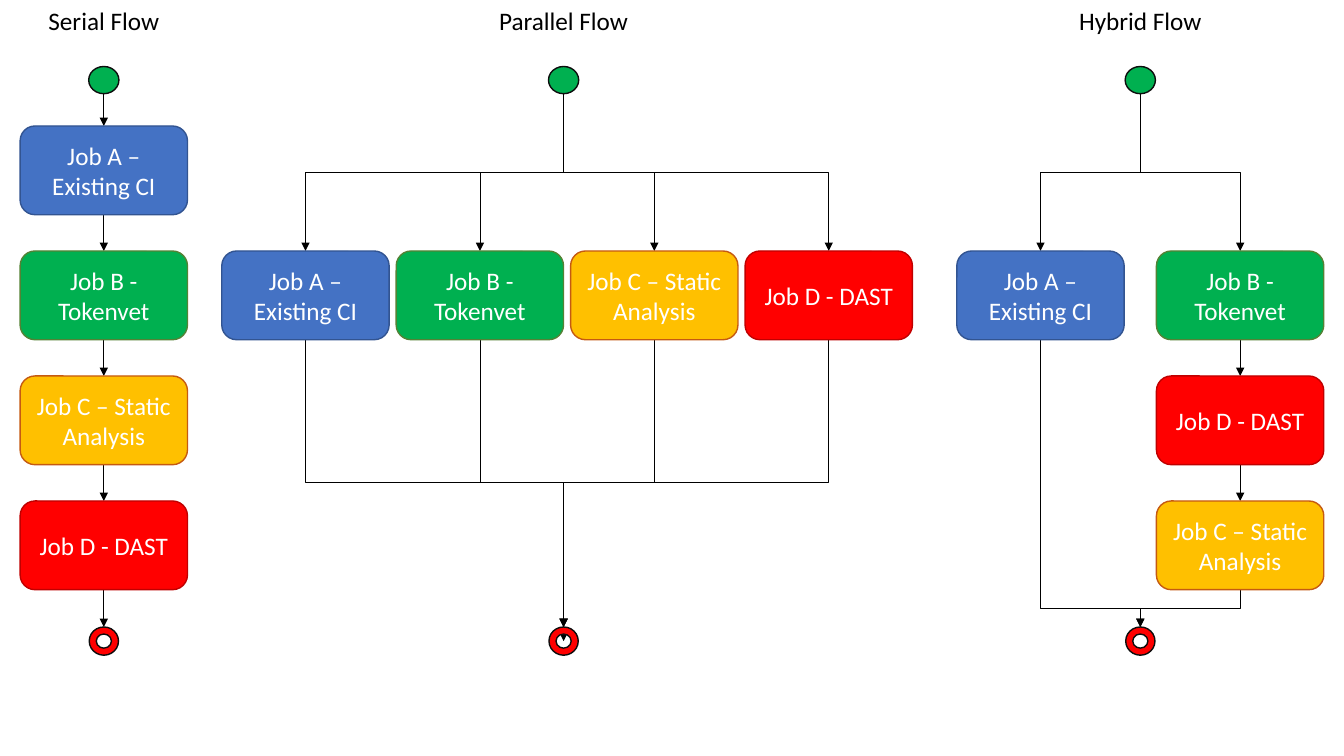
from pptx import Presentation
from pptx.dml.color import RGBColor
from pptx.enum.shapes import MSO_CONNECTOR as Link, MSO_SHAPE as Preset
from pptx.enum.text import MSO_ANCHOR as Anchor, PP_ALIGN as Align
from pptx.oxml.ns import qn
from pptx.util import Inches, Pt
from lxml.etree import SubElement

# Content: each job is (label, fill, outline)
JOBS = {
    "A": ("Job A – Existing CI", "4472C4", "325491"),
    "B": ("Job B - Tokenvet", "00B050", "548235"),
    "C": ("Job C – Static Analysis", "FFC000", "C55A11"),
    "D": ("Job D - DAST", "FF0000", "C00000"),
}
# Each flow runs its chains of jobs side by side between one start and one end.
# "late" names the chain whose arrow reaches the centre of the end marker.
FLOWS = [
    {"title": "Serial Flow", "hub": 1.03, "first": 1.03, "step": 0,
     "row": 0, "chains": ["ABCD"], "join": 6.04, "late": None},
    {"title": "Parallel Flow", "hub": 5.59, "first": 3.03, "step": 1.73,
     "row": 1, "chains": ["A", "B", "C", "D"], "join": 4.79, "late": "C"},
    {"title": "Hybrid Flow", "hub": 11.31, "first": 10.32, "step": 1.98,
     "row": 1, "chains": ["A", "BDC"], "join": 6.04, "late": None},
]
THEME = {"font": "Calibri", "size": 18, "ink": "000000", "light": "FFFFFF",
         "start": "00B050", "end": "FF0000", "rim": "0D0D0D",
         "outline": 1, "arrow": 0.5}

# Grid, in inches
SLIDE_W, SLIDE_H = 13.33, 7.5
BOX_W, BOX_H = 1.66, 0.88
ROW_TOP, ROW_STEP = 1.25, 1.24
TITLE_W, TITLE_H = 2.03, 0.4
START_TOP, START_W, START_H = 0.66, 0.3, 0.27
END_TOP, END_W, END_H = 6.22, 0.29, 0.28


def write(shape, text, color):
    """Put one centred line of text in a shape and format it."""
    frame = shape.text_frame
    frame.text = text
    frame.word_wrap = True
    para = frame.paragraphs[0]
    para.alignment = Align.CENTER
    font = para.runs[0].font
    font.name, font.size = THEME["font"], Pt(THEME["size"])
    font.color.rgb = RGBColor.from_string(color)


def add_node(page, preset, center, top, width, height, fill, outline):
    """Add a filled, outlined shape centred on a column."""
    node = page.shapes.add_shape(preset, Inches(center - width / 2), Inches(top),
                                 Inches(width), Inches(height))
    node.shadow.inherit = False
    node.fill.solid()
    node.fill.fore_color.rgb = RGBColor.from_string(fill)
    node.line.color.rgb = RGBColor.from_string(outline)
    node.line.width = Pt(THEME["outline"])
    return node


def add_job(page, key, center, top):
    """Add the rounded box of a job."""
    label, fill, outline = JOBS[key]
    box = add_node(page, Preset.ROUNDED_RECTANGLE, center, top, BOX_W, BOX_H,
                   fill, outline)
    box.text_frame.vertical_anchor = Anchor.MIDDLE
    write(box, label, THEME["light"])


def add_arrow(page, x1, y1, x2, y2, bend=None):
    """Add a downward arrow, elbowed at height bend when the columns differ."""
    if x1 == x2:
        arrow = page.shapes.add_connector(
            Link.STRAIGHT, Inches(x1), Inches(y1), Inches(x2), Inches(y2))
    else:
        # A vertical elbow is a horizontal one turned about its centre
        length, across = y2 - y1, abs(x2 - x1)
        left, top = (x1 + x2 - length) / 2, (y1 + y2 - across) / 2
        arrow = page.shapes.add_connector(
            Link.ELBOW, Inches(left), Inches(top),
            Inches(left + length), Inches(top + across))
        frame = arrow.element.spPr.find(qn("a:xfrm"))
        frame.set("rot", "5400000" if x2 < x1 else "16200000")
        if x2 > x1:
            frame.set("flipH", "1")
        guides = arrow.element.spPr.find(qn("a:prstGeom")).find(qn("a:avLst"))
        share = round((bend - y1) / length * 100000)
        SubElement(guides, qn("a:gd"), name="adj1", fmla=f"val {share}")
    arrow.line.color.rgb = RGBColor.from_string(THEME["ink"])
    arrow.line.width = Pt(THEME["arrow"])
    outline = arrow.element.spPr.find(qn("a:ln"))
    SubElement(outline, qn("a:tailEnd"), type="triangle")
    SubElement(arrow.element.spPr, qn("a:effectLst"))


def add_chain(page, flow, chain, center):
    """Add a column of jobs and the arrows that tie it to the flow's ends."""
    hub = flow["hub"]
    tops = [ROW_TOP + ROW_STEP * (flow["row"] + i) for i in range(len(chain))]
    start = START_TOP + START_H
    finish = END_TOP + (END_H / 2 if chain == flow["late"] else 0)
    add_arrow(page, hub, start, center, tops[0], (start + tops[0]) / 2)
    for upper, lower in zip(tops, tops[1:]):
        add_arrow(page, center, upper + BOX_H, center, lower)
    add_arrow(page, center, tops[-1] + BOX_H, hub, finish, flow["join"])
    for key, top in zip(chain, tops):
        add_job(page, key, center, top)


def add_flow(page, flow):
    """Add one titled flow with its start, chains and end."""
    hub = flow["hub"]
    title = page.shapes.add_textbox(Inches(hub - TITLE_W / 2), 0,
                                    Inches(TITLE_W), Inches(TITLE_H))
    write(title, flow["title"], THEME["ink"])
    for column, chain in enumerate(flow["chains"]):
        add_chain(page, flow, chain, flow["first"] + column * flow["step"])
    add_node(page, Preset.OVAL, hub, START_TOP, START_W, START_H,
             THEME["start"], THEME["rim"])
    add_node(page, Preset.DONUT, hub, END_TOP, END_W, END_H,
             THEME["end"], THEME["rim"])


deck = Presentation()
deck.slide_width, deck.slide_height = Inches(SLIDE_W), Inches(SLIDE_H)
page = deck.slides.add_slide(deck.slide_layouts.get_by_name("Blank"))
for flow in FLOWS:
    add_flow(page, flow)
deck.save("out.pptx")
